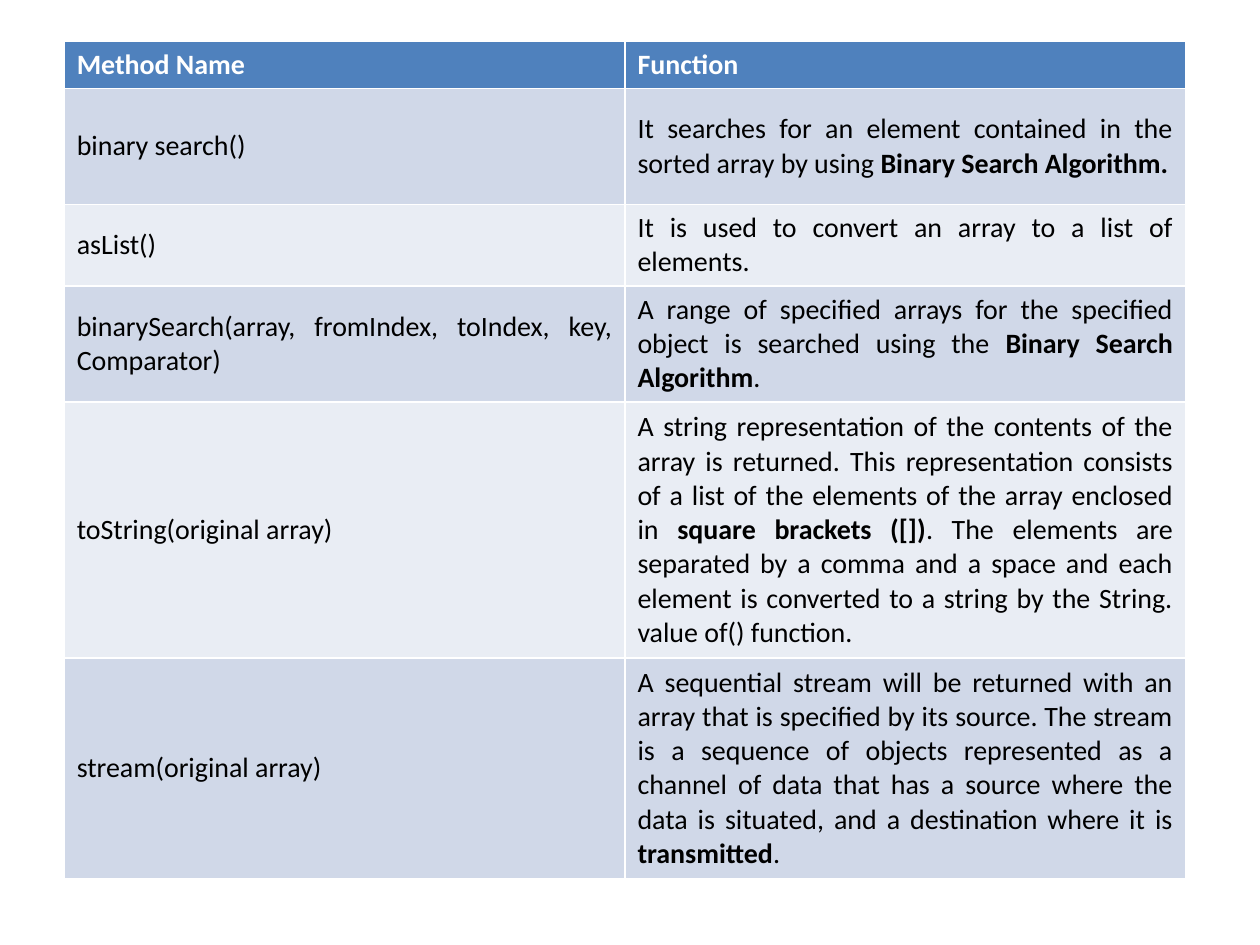
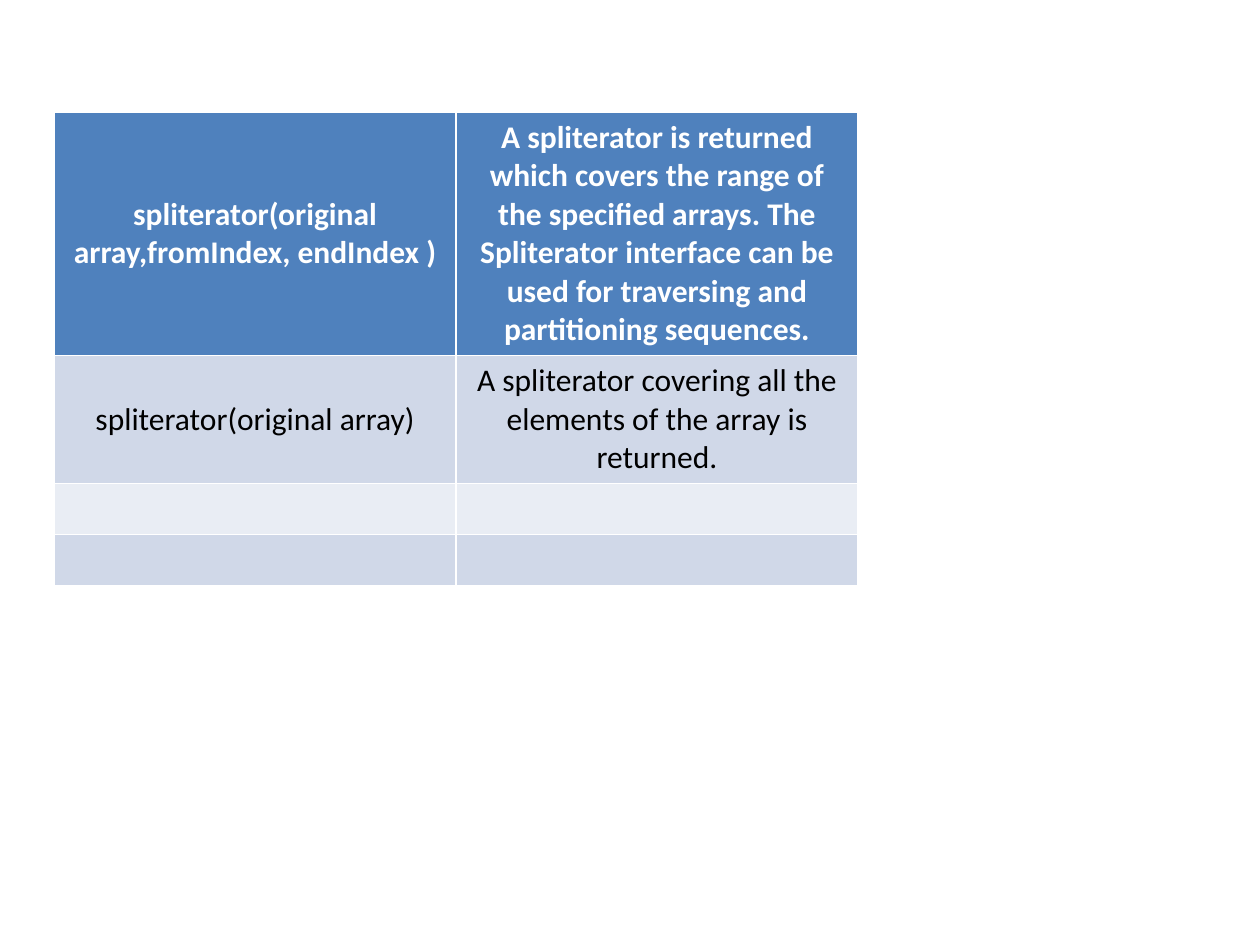
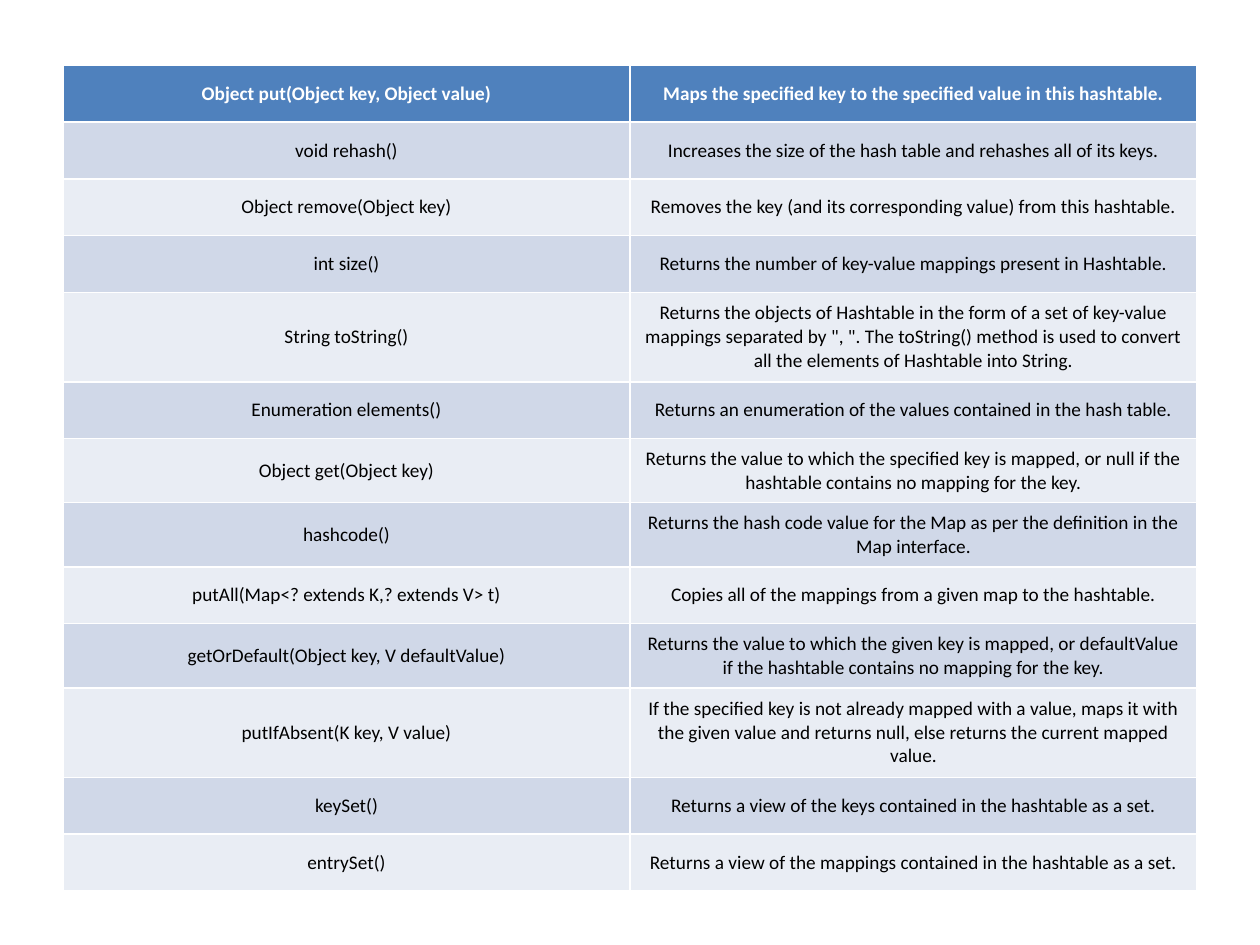
from dataclasses import dataclass
from pptx import Presentation as Deck
from pptx.dml.color import RGBColor as Rgb
from pptx.enum.text import MSO_ANCHOR as Anchor, PP_ALIGN as Align
from pptx.util import Inches, Pt

WIDE, HIGH = Inches(10), Inches(7.5)
COLS, ROWS = 100, 75


@dataclass(frozen=True)
class Theme:
    face: str = "Calibri"
    head: str = "4F81BD"
    bands: tuple = ("D0D8E8", "E9EDF4")
    light: str = "FFFFFF"
    dark: str = "000000"
    large: int = 18
    mid: int = 16
    small: int = 11


def apply(item, form):
    for name, value in form.items():
        setattr(item, name, value)


class Sheet:
    """Holds the theme and the slide now being filled."""

    def __init__(self, theme):
        self.theme = theme
        self.deck = Deck()
        apply(self.deck, {"slide_width": WIDE, "slide_height": HIGH})
        self.slide = None

    def across(self, cols):
        return round(WIDE * cols / COLS)

    def down(self, rows):
        return round(HIGH * rows / ROWS)

    def start(self):
        self.slide = self.deck.slides.add_slide(self.deck.slide_layouts[6])

    def table(self, left, top, width, height, rows, size, align):
        """Rows are (height, cell, cell, ...); the first one is the header."""
        count = len(rows[0]) - 1
        frame = self.slide.shapes.add_table(
            len(rows), count, self.across(left), self.down(top),
            self.across(width), self.down(height))
        grid = frame.table
        for y, (tall, *texts) in enumerate(rows):
            grid.rows[y].height = self.down(tall)
            for x, text in enumerate(texts):
                self.cell(grid.cell(y, x), text, y, size, align)
        frame.height = self.down(height)

    def cell(self, cell, text, row, size, align):
        look = self.theme
        cell.vertical_anchor = Anchor.MIDDLE
        cell.fill.solid()
        shade = look.bands[(row - 1) % 2] if row else look.head
        cell.fill.fore_color.rgb = Rgb.from_string(shade)
        if text:
            para = cell.text_frame.paragraphs[0]
            para.alignment = align
            self.runs(para, text, size, row == 0)

    def runs(self, para, text, size, head):
        """Text between double stars is bold."""
        ink = self.theme.light if head else self.theme.dark
        for i, part in enumerate(text.split("**")):
            if part:
                run = para.add_run()
                run.text = part
                apply(run.font, {"name": self.theme.face, "size": Pt(size),
                                 "bold": head or i % 2 == 1})
                run.font.color.rgb = Rgb.from_string(ink)


ARRAYS = [
    (3.7, "Method Name", "Function"),
    (9.2, "binary search()",
     "It searches for an element contained in the sorted array by using "
     "**Binary Search Algorithm.**"),
    (6.5, "asList()", "It is used to convert an array to a list of elements."),
    (9.2, "binarySearch(array, fromIndex, toIndex, key, Comparator)",
     "A range of specified arrays for the specified object is searched "
     "using the **Binary Search Algorithm**."),
    (20.3, "toString(original array)",
     "A string representation of the contents of the array is returned. "
     "This representation consists of a list of the elements of the array "
     "enclosed in **square brackets ([])**. The elements are separated by a "
     "comma and a space and each element is converted to a string by "
     "the String. value of() function."),
    (17.5, "stream(original array)",
     "A sequential stream will be returned with an array that is specified "
     "by its source. The stream is a sequence of objects represented as a "
     "channel of data that has a source where the data is situated, and a "
     "destination where it is **transmitted**."),
]

SPLITS = [
    (12.3, "spliterator(original array,fromIndex, endIndex )",
     "A spliterator is returned which covers the range of the specified "
     "arrays. The Spliterator interface can be used for traversing and "
     "partitioning sequences."),
    (6.6, "spliterator(original array)",
     "A spliterator covering all the elements of the array is returned."),
    (3.8, "", ""),
    (3.8, "", ""),
]

ONE, TWO, THREE = 4.5, 5.1, 7.1  # row heights by lines of text
HASHES = [
    (ONE, "Object put(Object key, Object value)",
     "Maps the specified key to the specified value in this hashtable."),
    (ONE, "void rehash()",
     "Increases the size of the hash table and rehashes all of its keys."),
    (ONE, "Object remove(Object key)",
     "Removes the key (and its corresponding value) from this hashtable."),
    (ONE, "int size()",
     "Returns the number of key-value mappings present in Hashtable."),
    (THREE, "String toString()",
     "Returns the objects of Hashtable in the form of a set of key-value "
     'mappings separated by ", ". The toString() method is used to convert '
     "all the elements of Hashtable into String."),
    (ONE, "Enumeration elements()",
     "Returns an enumeration of the values contained in the hash table."),
    (TWO, "Object get(Object key)",
     "Returns the value to which the specified key is mapped, or null if "
     "the hashtable contains no mapping for the key."),
    (TWO, "hashcode()",
     "Returns the hash code value for the Map as per the definition in the "
     "Map interface."),
    (ONE, "putAll(Map<? extends K,? extends V> t)",
     "Copies all of the mappings from a given map to the hashtable."),
    (TWO, "getOrDefault(Object key, V defaultValue)",
     "Returns the value to which the given key is mapped, or defaultValue "
     "if the hashtable contains no mapping for the key."),
    (THREE, "putIfAbsent(K key, V value)",
     "If the specified key is not already mapped with a value, maps it with "
     "the given value and returns null, else returns the current mapped "
     "value."),
    (ONE, "keySet()",
     "Returns a view of the keys contained in the hashtable as a set."),
    (ONE, "entrySet()",
     "Returns a view of the mappings contained in the hashtable as a set."),
]


def main():
    theme = Theme()
    sheet = Sheet(theme)
    for box, rows, size, align in (
        ((5.1, 3.3, 89, 66.5), ARRAYS, theme.mid, Align.JUSTIFY),
        ((4.3, 8.9, 63.8, 37), SPLITS, theme.large, Align.CENTER),
        ((5, 5.2, 90, 65.4), HASHES, theme.small, Align.CENTER),
    ):
        sheet.start()
        sheet.table(*box, rows, size, align)
    sheet.deck.save("out.pptx")


if __name__ == "__main__":
    main()
